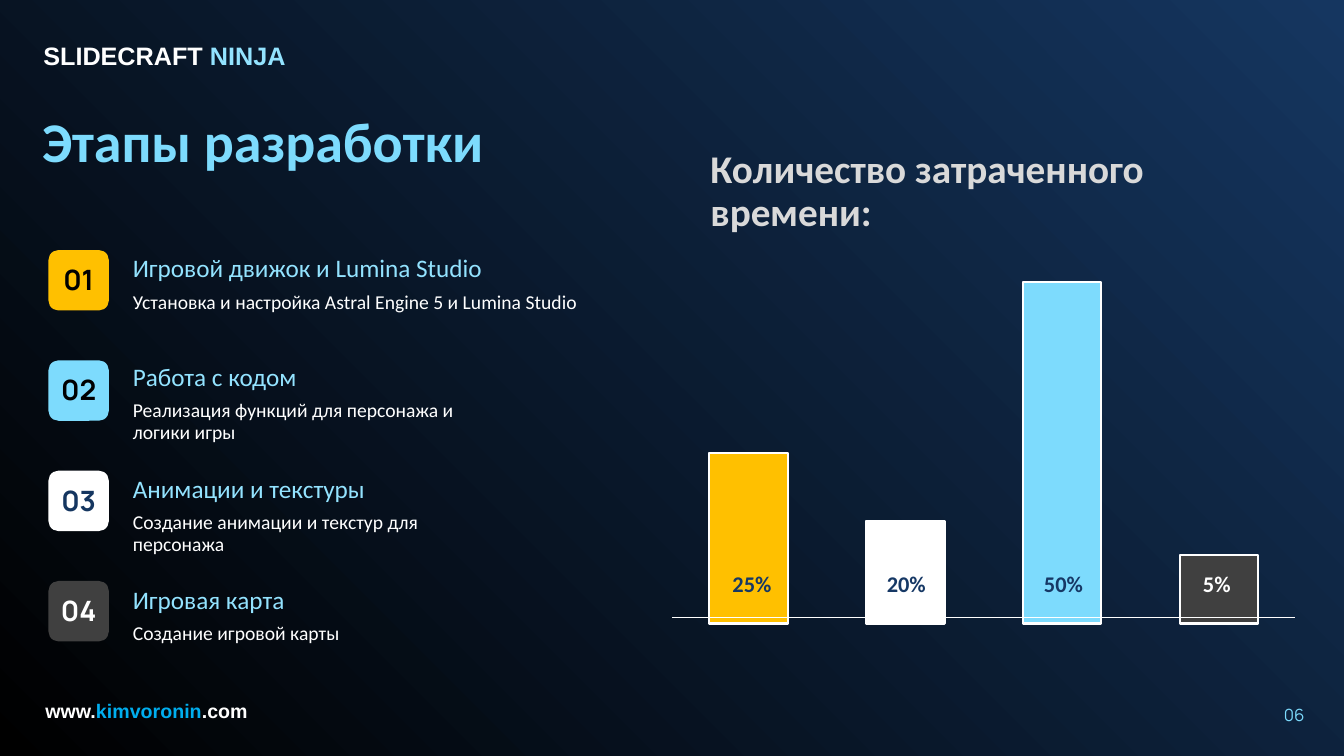
"""Builds the slide on game development stages with a chart of the time spent."""
import lxml.etree
import pptx
import pptx.chart.data
import pptx.dml.color
import pptx.enum.chart
import pptx.enum.shapes
import pptx.enum.text
import pptx.oxml.ns
import pptx.util

Pt = pptx.util.Pt
RGBColor = pptx.dml.color.RGBColor
PP_ALIGN = pptx.enum.text.PP_ALIGN
MSO_ANCHOR = pptx.enum.text.MSO_ANCHOR

NAVY = RGBColor(0x15, 0x36, 0x60)
LABEL_NAVY = RGBColor(0x16, 0x38, 0x65)
BLACK = RGBColor(0x00, 0x00, 0x00)
WHITE = RGBColor(0xFF, 0xFF, 0xFF)
SKY = RGBColor(0x7D, 0xDB, 0xFD)
PALE_SKY = RGBColor(0x93, 0xE3, 0xFF)
AZURE = RGBColor(0x00, 0xAE, 0xEF)
AMBER = RGBColor(0xFF, 0xC0, 0x00)
CHARCOAL = RGBColor(0x40, 0x40, 0x40)
SILVER = RGBColor(0xD9, 0xD9, 0xD9)

presentation = pptx.Presentation()
presentation.slide_width = Pt(960)
presentation.slide_height = Pt(540)
slide = presentation.slides.add_slide(presentation.slide_layouts[6])

backdrop = slide.background.fill
backdrop.gradient()
backdrop.gradient_angle = 225
for stop, color, position in zip(backdrop.gradient_stops, (NAVY, BLACK), (0, 1)):
    stop.color.rgb = color
    stop.position = position


def add_text(left, top, width, height, runs, size, font="Calibri", bold=False,
             align=PP_ALIGN.LEFT, spacing=0.9, inset=True, anchor=MSO_ANCHOR.TOP):
    box = slide.shapes.add_textbox(Pt(left), Pt(top), Pt(width), Pt(height))
    frame = box.text_frame
    frame.word_wrap = True
    frame.vertical_anchor = anchor
    if not inset:
        frame.margin_left = frame.margin_right = 0
        frame.margin_top = frame.margin_bottom = 0
    paragraph = frame.paragraphs[0]
    paragraph.alignment = align
    paragraph.line_spacing = spacing
    for text, color in runs:
        run = paragraph.add_run()
        run.text = text
        run.font.name = font
        run.font.size = Pt(size)
        run.font.bold = bold
        run.font.color.rgb = color


add_text(31, 28.8, 211.7, 21.6, [("SLIDECRAFT ", WHITE), ("NINJA", PALE_SKY)],
         18, "Arial", True, spacing=1, inset=False)
add_text(32.4, 499, 245.5, 17.3,
         [("www.", WHITE), ("kimvoronin", AZURE), (".com", WHITE)],
         14, "Arial", True, spacing=1, inset=False)
add_text(23, 77.8, 424.8, 51.8, [("Этапы разработки", SKY)], 40, bold=True)

stages = [
    ("01", AMBER, BLACK, 179.3, "Игровой движок и Lumina Studio", 371.5,
     "Установка и настройка Astral Engine 5 и Lumina Studio"),
    ("02", SKY, BLACK, 257, "Работа с кодом", 272.2,
     "Реализация функций для персонажа и логики игры"),
    ("03", WHITE, NAVY, 337, "Анимации и текстуры", 272.2,
     "Создание анимации и текстур для персонажа"),
    ("04", CHARCOAL, WHITE, 416.2, "Игровая карта", 350.6,
     "Создание игровой карты"),
]
for index, (number, tile_color, number_color, heading_top, heading,
            detail_width, detail) in enumerate(stages):
    tile_top = 178.6 + 78.8 * index
    tile = slide.shapes.add_shape(pptx.enum.shapes.MSO_SHAPE.ROUNDED_RECTANGLE,
                                  Pt(34.6), Pt(tile_top), Pt(43.2), Pt(43.2))
    tile.shadow.inherit = False
    tile.fill.solid()
    tile.fill.fore_color.rgb = tile_color
    tile.line.fill.background()
    add_text(34.6, tile_top + 8, 43.2, 34.6, [(number, number_color)],
             20, "Manrope", True, PP_ALIGN.CENTER)
    add_text(87.8, heading_top, 325, 27.4, [(heading, PALE_SKY)], 18)
    add_text(87.8, heading_top + 25.9, detail_width, 38.2, [(detail, WHITE)], 14)

time_data = pptx.chart.data.CategoryChartData()
time_data.categories = ["1", "2", "3", "4"]
time_data.add_series("Series 1", (50, 30, 100, 20))
time_chart = slide.shapes.add_chart(
    pptx.enum.chart.XL_CHART_TYPE.COLUMN_CLUSTERED,
    Pt(469.4), Pt(146.9), Pt(466.6), Pt(304.6), time_data).chart
time_chart.has_legend = False
time_chart.has_title = False
time_chart.font.name = "Manrope"
time_chart.font.size = Pt(10)
time_chart.font.color.rgb = BLACK
time_chart.category_axis.visible = False
time_chart.value_axis.visible = False
time_chart.value_axis.has_major_gridlines = False
time_chart.value_axis.minimum_scale = 0
time_chart.value_axis.maximum_scale = 120
time_plot = time_chart.plots[0]
time_plot.gap_width = 100
time_plot.vary_by_categories = False
time_series = time_plot.series[0]
time_series.format.fill.solid()
time_series.format.fill.fore_color.rgb = SKY
for index, color in enumerate((AMBER, WHITE, SKY, CHARCOAL)):
    bar = time_series.points[index].format
    bar.fill.solid()
    bar.fill.fore_color.rgb = color
    bar.line.color.rgb = WHITE
    bar.line.width = Pt(1.5)

shares = [("25%", 505.4, LABEL_NAVY), ("20%", 615.6, LABEL_NAVY),
          ("50%", 727.9, LABEL_NAVY), ("5%", 837.4, WHITE)]
for share, left, color in shares:
    add_text(left, 406.1, 63.4, 24.5, [(share, color)], 16, bold=True,
             align=PP_ALIGN.CENTER)

baseline = slide.shapes.add_connector(pptx.enum.shapes.MSO_CONNECTOR.STRAIGHT,
                                      Pt(480.2), Pt(440.6), Pt(925.2), Pt(440.6))
baseline.line.color.rgb = WHITE
baseline.line.width = Pt(0.25)
lxml.etree.SubElement(baseline._element.spPr, pptx.oxml.ns.qn("a:effectLst"))

add_text(722.9, 496.1, 216, 28.8, [("06", SKY)], 12, "Manrope",
         align=PP_ALIGN.RIGHT, spacing=1, anchor=MSO_ANCHOR.MIDDLE)
add_text(500.4, 103.7, 424.8, 69.1, [("Количество затраченного времени:", SILVER)],
         28, bold=True)

presentation.save("out.pptx")
